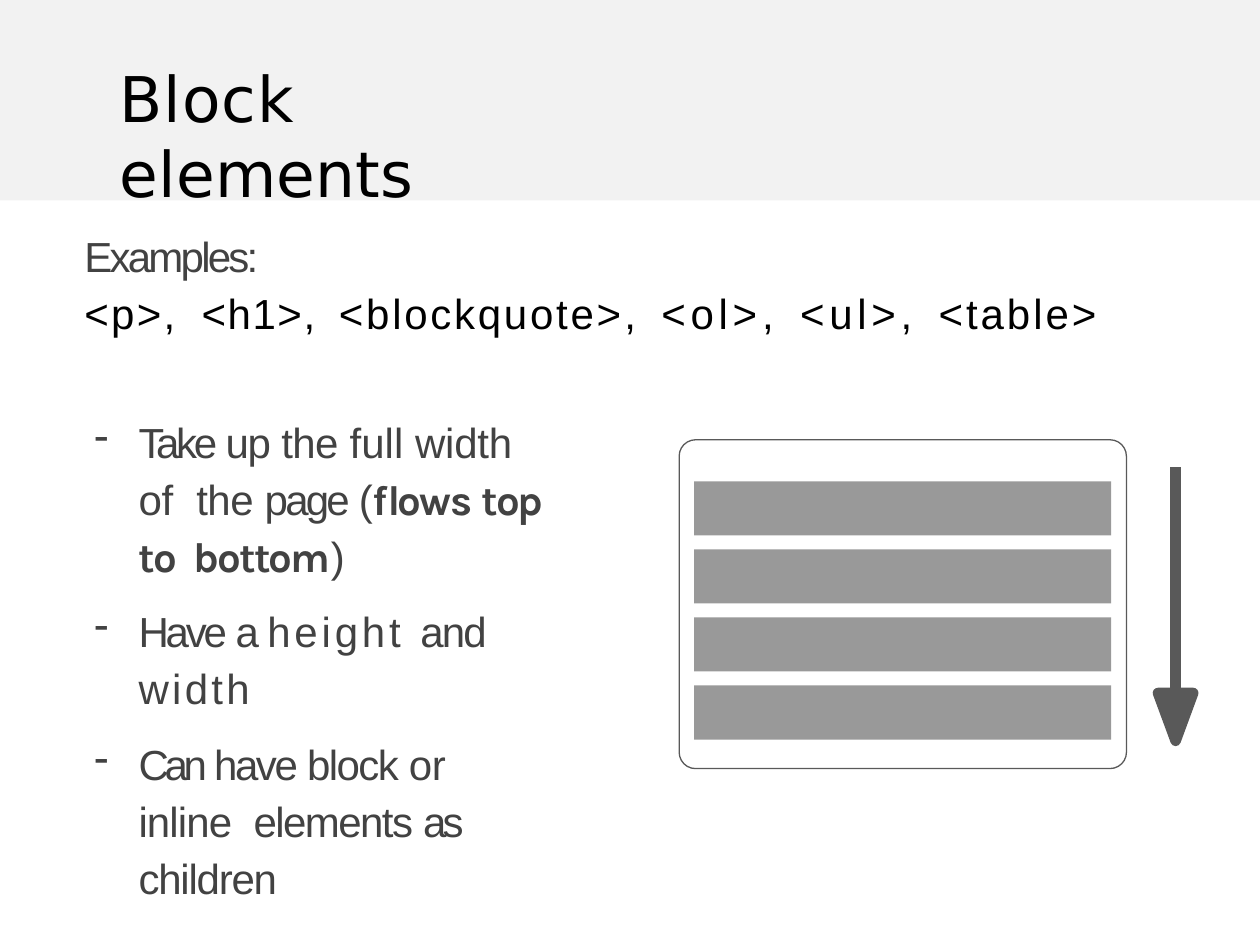
from dataclasses import dataclass

from lxml import etree
from pptx import Presentation
from pptx.dml.color import RGBColor
from pptx.enum import shapes, text
from pptx.oxml import ns
from pptx.util import Inches, Pt


@dataclass
class Theme:
    black: str = "000000"
    ink: str = "424242"
    band: str = "F2F2F2"
    bar: str = "999999"
    edge: str = "595959"
    head: int = 36
    body: int = 24
    sans: str = "Arial"
    bold: str = "Karla"
    title: str = "DejaVu Sans"


theme = Theme()
deck = Presentation()
deck.slide_width, deck.slide_height = Inches(10), Inches(7.5)
slide = deck.slides.add_slide(deck.slide_layouts[6])
kinds = shapes.MSO_SHAPE


def add_box(kind, x, y, w, h, fill=None, line=None, width=0.75):
    """Add a preset shape, or a text frame when kind is None."""
    area = [Inches(v) for v in (x, y, w, h)]
    if kind is None:
        frame = slide.shapes.add_textbox(*area).text_frame
        frame.word_wrap = True
        frame.vertical_anchor = text.MSO_ANCHOR.TOP
        frame.margin_left = frame.margin_right = 0
        frame.margin_top = frame.margin_bottom = 0
        return frame
    shape = slide.shapes.add_shape(kind, *area)
    shape.shadow.inherit = False
    if fill:
        shape.fill.solid()
        shape.fill.fore_color.rgb = RGBColor.from_string(fill)
    else:
        shape.fill.background()
    if line:
        shape.line.color.rgb = RGBColor.from_string(line)
        shape.line.width = Pt(width)
    else:
        shape.line.fill.background()
    return shape


def add_runs(para, runs, color, pitch, before=0, size=theme.body, font=theme.sans):
    """Fill a paragraph with (text, letter spacing[, bold]) runs."""
    para.line_spacing, para.space_before = Pt(pitch), Pt(before)
    for words, gap, *bold in runs:
        run = para.add_run()
        run.text = words
        run.font.size = Pt(size)
        run.font.name = theme.bold if bold else font
        run.font.bold = bool(bold)
        run.font.color.rgb = RGBColor.from_string(color)
        run.font._element.set("spc", str(round(gap * 100)))


# Title band
add_box(kinds.RECTANGLE, 0, 0, 10, 1.59, theme.band)
frame = add_box(None, 0.95, 0.48, 3.4, 1.2)
add_runs(frame.paragraphs[0], [("Block ", 0.6), ("elements", 0.1)],
         theme.black, 42.8, size=theme.head, font=theme.title)

# Examples, with the tags set on tab stops
frame = add_box(None, 0.67, 1.83, 8.4, 0.9)
add_runs(frame.paragraphs[0], [("Examples:", -1.6)], theme.ink, 28.6)
para = frame.add_paragraph()
tabs = etree.SubElement(para._p.get_or_add_pPr(), ns.qn("a:tabLst"))
for stop in (0.93, 2.02, 4.58, 5.68, 6.78):
    etree.SubElement(tabs, ns.qn("a:tab"), pos=str(Inches(stop)), algn="l")
tags = [("<p>", 1.3), (",\t", 0.7), ("<h1>", 0.9), (",\t", 0.5),
        ("<blockquote>", 1.6), (",\t", 0.9), ("<ol>", 2.7), (",\t", 1.6),
        ("<ul>", 2.7), (",\t", 1.6), ("<table>", 1.7)]
add_runs(para, tags, theme.black, 28.6, 4.2)

# List: dash, line pitch, space before, runs
items = [
    (True, 32.7, 0, [
        ("Take ", -1.9), ("up ", -0.8), ("the ", -0.3), ("full ", 0),
        ("width of  ", -0.1), ("the ", -0.3), ("page ", -1.6), ("(", -0.9),
        ("flows ", -0.9, True), ("top ", -1.1, True),
        ("to  bottom", -1, True), (")", -1)]),
    (True, 28.6, 14.2, [
        ("Have ", -1.8), ("a ", -1.9), ("height ", 2.2), ("and", -1.1)]),
    (False, 28.6, 4, [("width", 1.9)]),
    (True, 32.7, 10.3, [
        ("Can ", -2.5), ("have ", -1.4), ("block ", -0.9), ("or ", -0.2),
        ("inline  ", -0.5), ("elements ", -0.9), ("as ", -2.2),
        ("children", -0.7)]),
]
frame = add_box(None, 0.66, 3.25, 3.67, 3.9)
for i, (dash, pitch, before, runs) in enumerate(items):
    para = frame.add_paragraph() if i else frame.paragraphs[0]
    props = para._p.get_or_add_pPr()
    props.set("marL", str(Inches(0.44)))
    props.set("indent", str(Inches(-0.35 if dash else 0)))
    if dash:
        etree.SubElement(props, ns.qn("a:buChar"), char="-")
    add_runs(para, runs, theme.ink, pitch, before)

# Page with stacked blocks
page = add_box(kinds.ROUNDED_RECTANGLE, 5.39, 3.49, 3.55, 2.61, line=theme.edge)
page.adjustments[0] = 0.05
for row in range(4):
    add_box(kinds.RECTANGLE, 5.51, 3.82 + row * 0.54, 3.31, 0.43, theme.bar)

# Flow arrow
stem = slide.shapes.add_connector(
    shapes.MSO_CONNECTOR.STRAIGHT,
    Inches(9.33), Inches(3.71), Inches(9.33), Inches(5.5))
stem.line.color.rgb = RGBColor.from_string(theme.edge)
stem.line.width = Pt(6)
etree.SubElement(stem._element.spPr, ns.qn("a:effectLst"))
tip = add_box(kinds.ISOSCELES_TRIANGLE, 9.19, 5.5, 0.28, 0.38,
              theme.edge, theme.edge, 6)
tip.rotation = 180
etree.SubElement(tip.line._get_or_add_ln(), ns.qn("a:round"))

deck.save("out.pptx")
